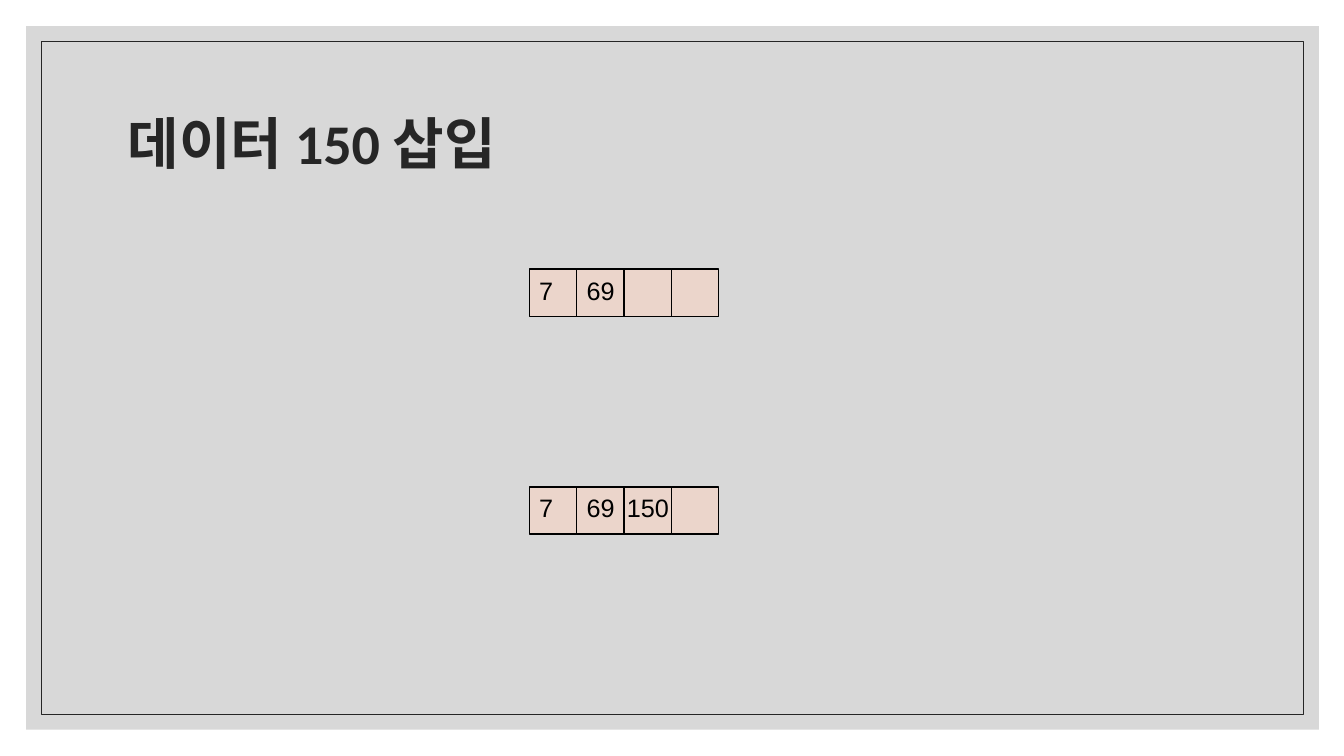
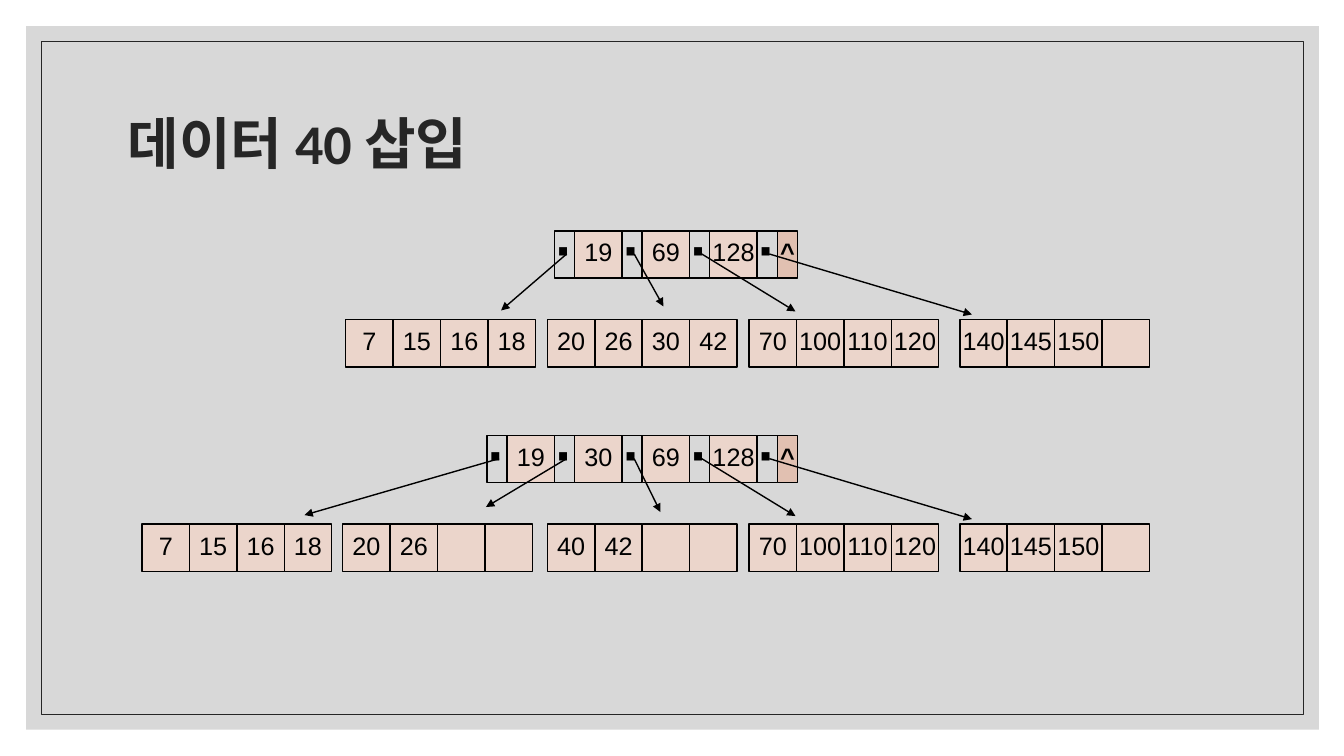
from lxml.etree import SubElement
from pptx import Presentation
from pptx.dml.color import RGBColor
from pptx.enum.shapes import MSO_CONNECTOR, MSO_SHAPE
from pptx.enum.text import MSO_ANCHOR, PP_ALIGN
from pptx.oxml.ns import qn
from pptx.util import Inches, Pt

COLORS = {"panel": "BFBFBF", "dark": "262626", "ink": "000000",
          "key": "EBD5CB", "end": "E1C0B1"}

KEY_WIDTH, POINTER_WIDTH, CELL_HEIGHT = 0.47, 0.2, 0.47
INDEX_RIGHT = 7.91
LEAF_DROP = 0.88

# Slide 1: the single node before and after the insertion, as (top, keys)
NODE_TITLE = "데이터 150 삽입"
NODE_LEFT = 5.25
NODES = [
    (2.67, ["7", "69", "", ""]),
    (4.83, ["7", "69", "150", ""]),
]

# Slide 2: leaves as (left, keys, arrow tip offset from the leaf's top left)
TREE_TITLE = "데이터 40 삽입"
SHARED_LEAVES = [
    (7.43, ["70", "100", "110", "120"], (0.46, -0.08)),
    (9.52, ["140", "145", "150", ""], (0.12, -0.05)),
]
TREES = [
    {"top": 2.29, "index": ["19", "69", "128"], "leaves": [
        (3.43, ["7", "15", "16", "18"], (1.54, -0.09)),
        (5.43, ["20", "26", "30", "42"], (1.15, -0.13)),
        *SHARED_LEAVES]},
    {"top": 4.32, "index": ["19", "30", "69", "128"], "leaves": [
        (1.41, ["7", "15", "16", "18"], (1.61, -0.09)),
        (3.4, ["20", "26", "", ""], (1.42, -0.17)),
        (5.43, ["40", "42", "", ""], (1.12, -0.12)),
        *SHARED_LEAVES]},
]


def rgb(name):
    return RGBColor.from_string(COLORS[name])


def add_rect(slide, left, top, width, height, fill=None, line=None, weight=1):
    rect = slide.shapes.add_shape(MSO_SHAPE.RECTANGLE, Inches(left), Inches(top),
                                  Inches(width), Inches(height))
    rect.shadow.inherit = False
    if fill:
        rect.fill.solid()
        rect.fill.fore_color.rgb = rgb(fill)
    else:
        rect.fill.background()
    if line:
        rect.line.color.rgb = rgb(line)
        rect.line.width = Pt(weight)
    else:
        rect.line.fill.background()
    return rect


def set_text(shape, text, size, color, font, spacing, bold=False, align=PP_ALIGN.LEFT):
    frame = shape.text_frame
    frame.text = text
    frame.vertical_anchor = MSO_ANCHOR.MIDDLE
    paragraph = frame.paragraphs[0]
    paragraph.alignment = align
    paragraph.line_spacing = spacing
    style = paragraph.runs[0].font
    style.size, style.bold, style.name = Pt(size), bold, font
    style.color.rgb = rgb(color)


def add_cell(slide, left, top, width, text="", fill=None, size=18, bold=False,
             align=PP_ALIGN.CENTER):
    cell = add_rect(slide, left, top, width, CELL_HEIGHT, fill, "ink")
    if text:
        set_text(cell, text, size, "ink", "Arial", 0.8, bold, align)
        frame = cell.text_frame
        frame.word_wrap = False
        frame.margin_top = frame.margin_bottom = frame.margin_right = 0
        frame.margin_left = Inches(0.1 if align == PP_ALIGN.LEFT else 0)


def add_keys(slide, left, top, keys, short_align=PP_ALIGN.CENTER):
    """Draw a row of touching cells; keys of one or two digits take short_align."""
    for i, key in enumerate(keys):
        align = short_align if len(key) < 3 else PP_ALIGN.CENTER
        add_cell(slide, left + i * KEY_WIDTH, top, KEY_WIDTH, key, "key", align=align)


def add_arrow(slide, start, end):
    arrow = slide.shapes.add_connector(MSO_CONNECTOR.STRAIGHT,
                                       *(Inches(v) for v in (*start, *end)))
    arrow.line.color.rgb = rgb("ink")
    arrow.line.width = Pt(1)
    SubElement(arrow.line._get_or_add_ln(), qn("a:tailEnd"), type="triangle")
    SubElement(arrow._element.spPr, qn("a:effectLst"))


def add_tree(slide, top, index, leaves):
    """Draw an index node, its leaves and the arrows between them."""
    end_left = INDEX_RIGHT - POINTER_WIDTH
    pitch = POINTER_WIDTH + KEY_WIDTH
    first_left = end_left - POINTER_WIDTH - len(index) * pitch
    pointer_lefts = [first_left + i * pitch for i in range(len(leaves))]

    for left in pointer_lefts:
        add_cell(slide, left, top, POINTER_WIDTH, "·", size=40, bold=True)
    for left, key in zip(pointer_lefts, index):
        add_cell(slide, left + POINTER_WIDTH, top, KEY_WIDTH, key, "key")
    add_cell(slide, end_left, top, POINTER_WIDTH, "^", "end", bold=True)

    leaf_top = top + LEAF_DROP
    for pointer_left, (left, keys, (dx, dy)) in zip(pointer_lefts, leaves):
        add_keys(slide, left, leaf_top, keys)
        add_arrow(slide, (pointer_left + 0.12, top + 0.23), (left + dx, leaf_top + dy))


def add_framed_slide(prs, title):
    slide = prs.slides.add_slide(prs.slide_layouts[6])
    panel = add_rect(slide, 0.26, 0.26, 12.82, 6.98, "panel")
    color = panel._element.spPr.find(qn("a:solidFill"))[0]
    SubElement(color, qn("a:alpha"), val="60000")
    add_rect(slide, 0.41, 0.41, 12.52, 6.68, line="dark", weight=0.5)
    heading = slide.shapes.add_textbox(Inches(1.17), Inches(0.7), Inches(11), Inches(1.5))
    heading.text_frame.word_wrap = True
    set_text(heading, title, 40, "dark", "Calibri", 0.9, bold=True)
    return slide


def main():
    prs = Presentation()
    prs.slide_width, prs.slide_height = Inches(13.33), Inches(7.5)

    node_slide = add_framed_slide(prs, NODE_TITLE)
    for top, keys in NODES:
        add_keys(node_slide, NODE_LEFT, top, keys, PP_ALIGN.LEFT)

    tree_slide = add_framed_slide(prs, TREE_TITLE)
    for tree in TREES:
        add_tree(tree_slide, **tree)

    prs.save("out.pptx")


if __name__ == "__main__":
    main()
